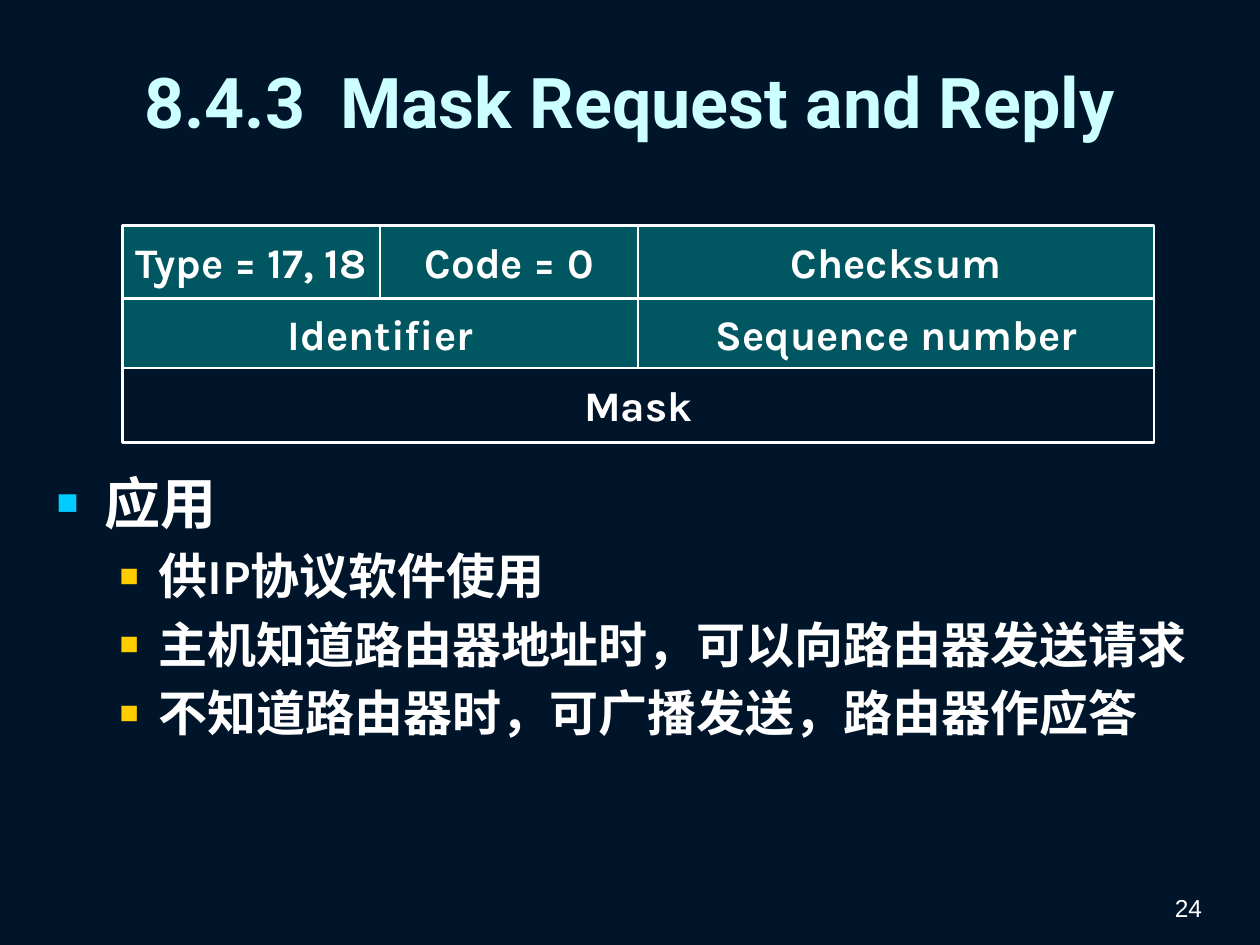
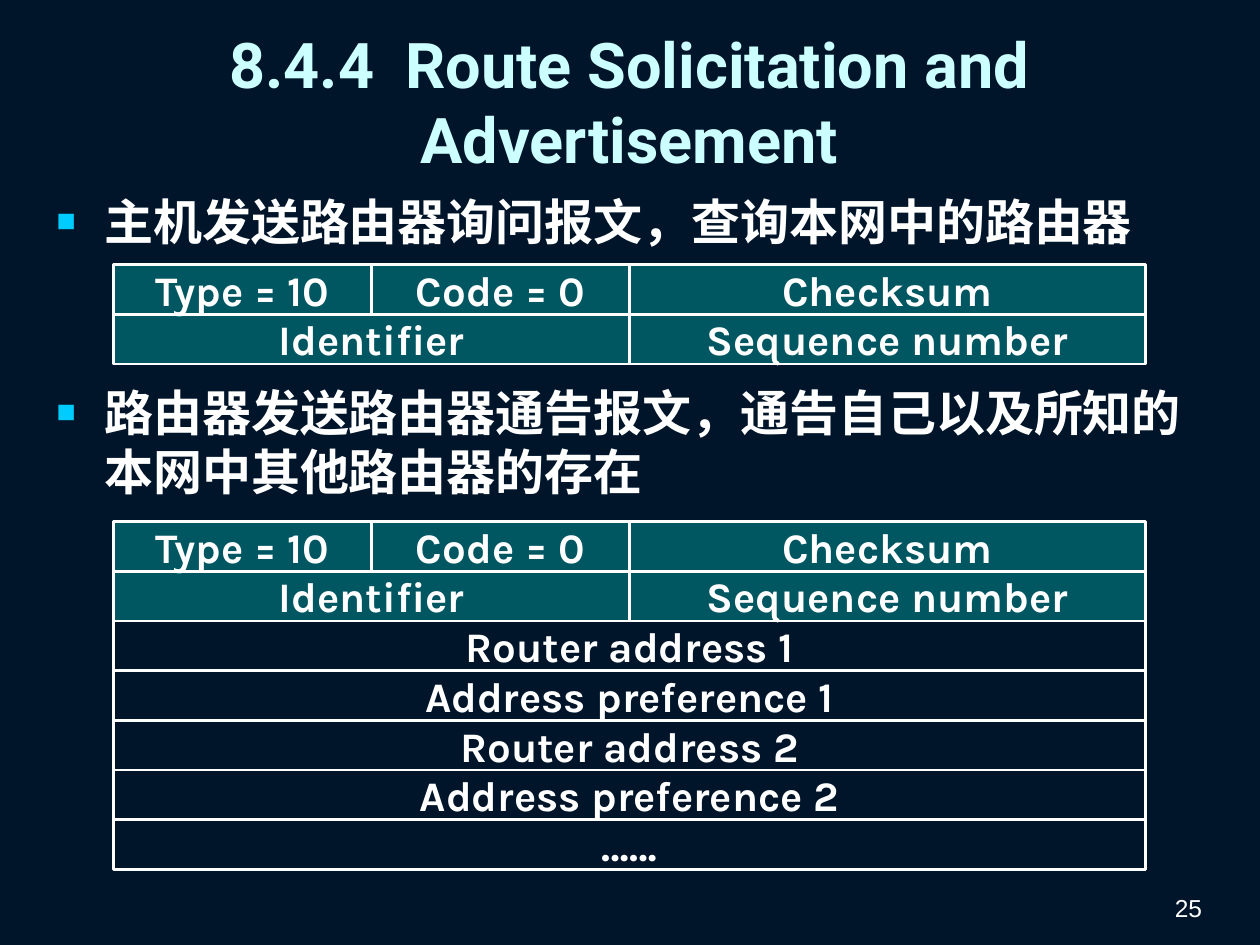
from lxml.etree import SubElement
from pptx import Presentation
from pptx.dml.color import RGBColor
from pptx.enum.shapes import MSO_SHAPE
from pptx.enum.text import MSO_ANCHOR, PP_ALIGN
from pptx.oxml.ns import qn
from pptx.util import Inches, Pt

NAVY = RGBColor(0x00, 0x15, 0x2A)
PALE_CYAN = RGBColor(0xCC, 0xFF, 0xFF)
WHITE = RGBColor(0xFF, 0xFF, 0xFF)
TEAL = RGBColor(0x00, 0x99, 0x99)
SKY = RGBColor(0x00, 0xCC, 0xFF)
AMBER = RGBColor(0xFF, 0xCC, 0x00)

TITLE_FONT = "Roboto"
BODY_FONT = "Karla"
NUMBER_FONT = "Arial"

MARGIN = 0.35
CONTENT_WIDTH = 9.29
PACKET_COLUMNS = 4
COLUMN_WIDTH = 8.19 / PACKET_COLUMNS
BULLET_LEVELS = [(0.38, 0.38, SKY), (0.81, 0.31, AMBER)]


def add_run(paragraph, text, font, size, color=WHITE, bold=True):
    run = paragraph.add_run()
    run.text = text
    run.font.name = font
    run.font.size = Pt(size)
    run.font.bold = bold
    run.font.color.rgb = color


def add_text_frame(slide, left, top, width, height, anchor):
    box = slide.shapes.add_textbox(*map(Inches, (left, top, width, height)))
    box.text_frame.word_wrap = True
    box.text_frame.vertical_anchor = anchor
    return box.text_frame


def add_base_slide(presentation, title, title_size, number):
    slide = presentation.slides.add_slide(presentation.slide_layouts[6])
    slide.background.fill.solid()
    slide.background.fill.fore_color.rgb = NAVY

    frame = add_text_frame(slide, MARGIN, 0.13, CONTENT_WIDTH, 1.34, MSO_ANCHOR.MIDDLE)
    paragraph = frame.paragraphs[0]
    paragraph.alignment = PP_ALIGN.CENTER
    add_run(paragraph, title, TITLE_FONT, title_size, PALE_CYAN)

    frame = add_text_frame(slide, 7.31, 6.9, 2.33, 0.47, MSO_ANCHOR.BOTTOM)
    paragraph = frame.paragraphs[0]
    paragraph.alignment = PP_ALIGN.RIGHT
    add_run(paragraph, str(number), NUMBER_FONT, 14, bold=False)
    return slide


def set_bullet(paragraph, level):
    indent, hanging, color = BULLET_LEVELS[level]
    paragraph.level = level
    properties = paragraph._p.get_or_add_pPr()
    properties.set("marL", str(Inches(indent)))
    properties.set("indent", str(-Inches(hanging)))
    bullet_color = SubElement(properties, qn("a:buClr"))
    SubElement(bullet_color, qn("a:srgbClr"), val=str(color))
    SubElement(properties, qn("a:buSzPct"), val="65000")
    SubElement(properties, qn("a:buFont"), typeface=NUMBER_FONT)
    SubElement(properties, qn("a:buChar"), char="■")


def add_bullets(slide, top, height, bullets):
    frame = add_text_frame(slide, MARGIN, top, CONTENT_WIDTH, height, MSO_ANCHOR.TOP)
    for index, (level, size, space_before, text) in enumerate(bullets):
        paragraph = frame.add_paragraph() if index else frame.paragraphs[0]
        paragraph.space_before = Pt(space_before)
        set_bullet(paragraph, level)
        add_run(paragraph, text, BODY_FONT, size)


def add_field(slide, label, left, top, width, height, is_header):
    field = slide.shapes.add_shape(
        MSO_SHAPE.RECTANGLE, *map(Inches, (left, top, width, height)))
    field.shadow.inherit = False
    field.line.color.rgb = WHITE
    field.line.width = Pt(1.5)
    if is_header:
        field.fill.solid()
        field.fill.fore_color.rgb = TEAL
        color = field.fill._xPr.find(qn("a:solidFill"))[0]
        SubElement(color, qn("a:alpha"), val="50000")
    else:
        field.fill.background()
    field.text_frame.word_wrap = False
    field.text_frame.vertical_anchor = MSO_ANCHOR.MIDDLE
    paragraph = field.text_frame.paragraphs[0]
    paragraph.alignment = PP_ALIGN.CENTER
    add_run(paragraph, label, BODY_FONT, 24)


def add_packet(slide, left, top, row_heights, type_label, data_labels=()):
    rows = [
        [(type_label, 1), ("Code = 0", 1), ("Checksum", 2)],
        [("Identifier", 2), ("Sequence number", 2)],
    ] + [[(label, PACKET_COLUMNS)] for label in data_labels]
    for fields, height in zip(rows, row_heights):
        column = 0
        for label, span in fields:
            add_field(slide, label, left + column * COLUMN_WIDTH, top,
                      span * COLUMN_WIDTH, height, span < PACKET_COLUMNS)
            column += span
        top += height


def add_mask_slide(presentation):
    slide = add_base_slide(presentation, "8.4.3  Mask Request and Reply", 40, 24)
    add_bullets(slide, 3.67, 3.39, [
        (0, 32, 0, "应用"),
        (1, 28, 5.6, "供IP协议软件使用"),
        (1, 28, 5.6, "主机知道路由器地址时，可以向路由器发送请求"),
        (1, 28, 5.6, "不知道路由器时，可广播发送，路由器作应答"),
    ])
    add_packet(slide, 0.97, 1.79, [0.58, 0.55, 0.59], "Type = 17, 18", ["Mask"])


def add_route_slide(presentation):
    slide = add_base_slide(
        presentation, "8.4.4  Route Solicitation and Advertisement", 36, 25)
    add_bullets(slide, 1.47, 5.43, [
        (0, 28, 0, "主机发送路由器询问报文，查询本网中的路由器"),
        (0, 28, 75.4, "路由器发送路由器通告报文，通告自己以及所知的本网中其他路由器的存在"),
    ])
    row_height = 2.76 / 7
    add_packet(slide, 0.9, 2.1, [row_height] * 2, "Type = 10")
    add_packet(slide, 0.9, 4.14, [row_height] * 7, "Type = 10", [
        "Router address 1", "Address preference 1",
        "Router address 2", "Address preference 2", "……",
    ])


def main():
    presentation = Presentation()
    presentation.slide_width = Inches(10)
    presentation.slide_height = Inches(7.5)
    add_mask_slide(presentation)
    add_route_slide(presentation)
    presentation.save("out.pptx")


if __name__ == "__main__":
    main()
